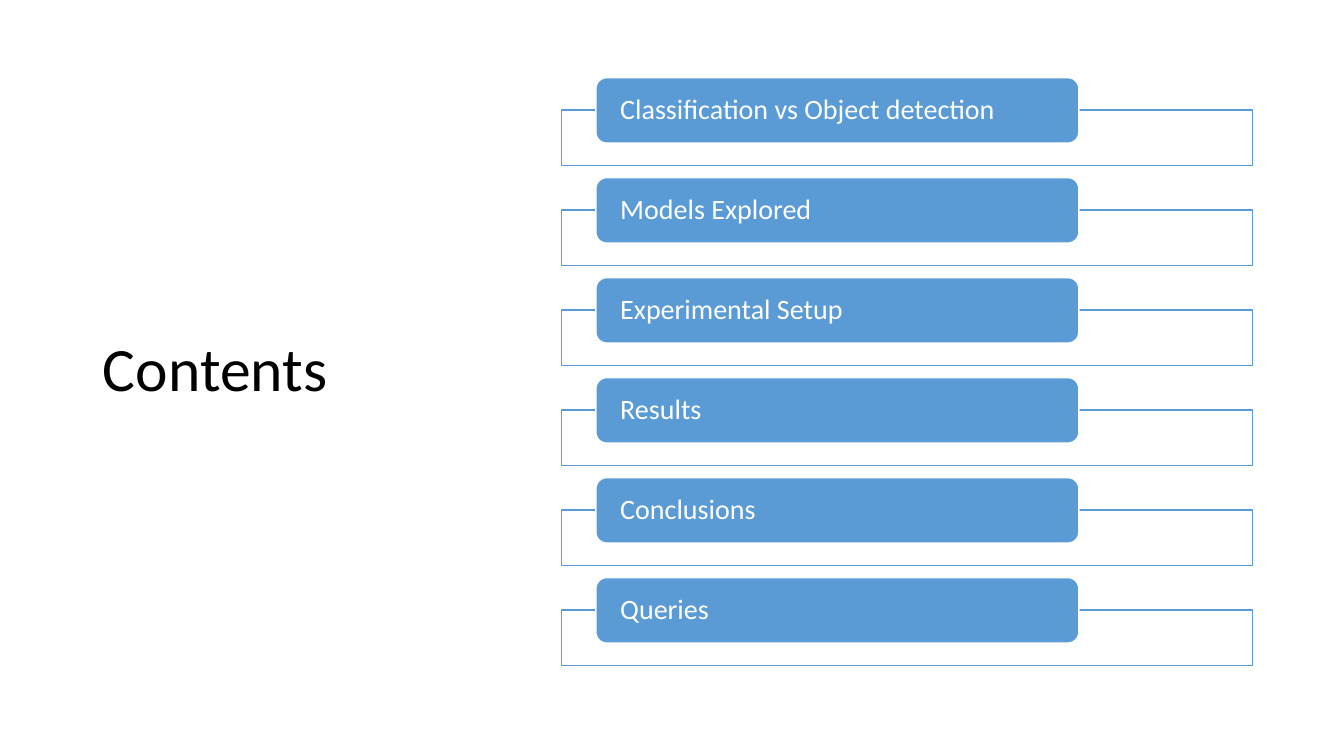
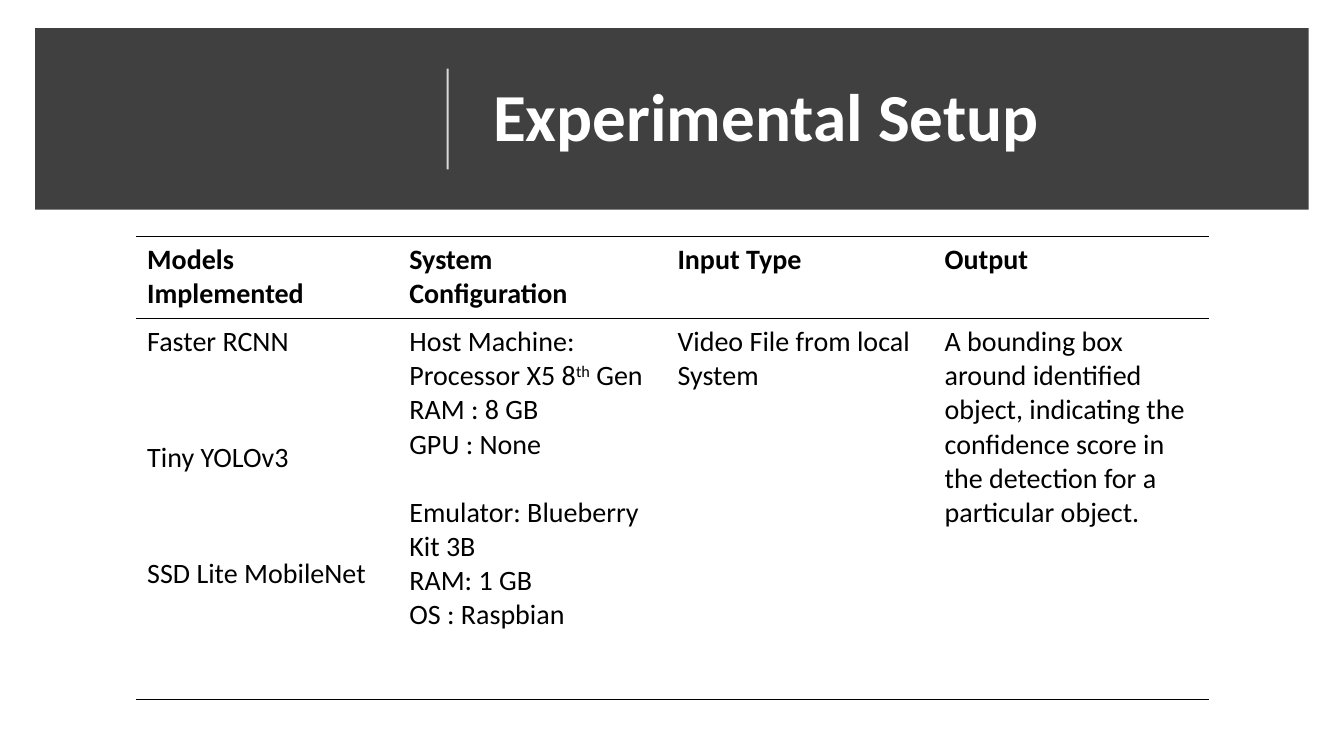
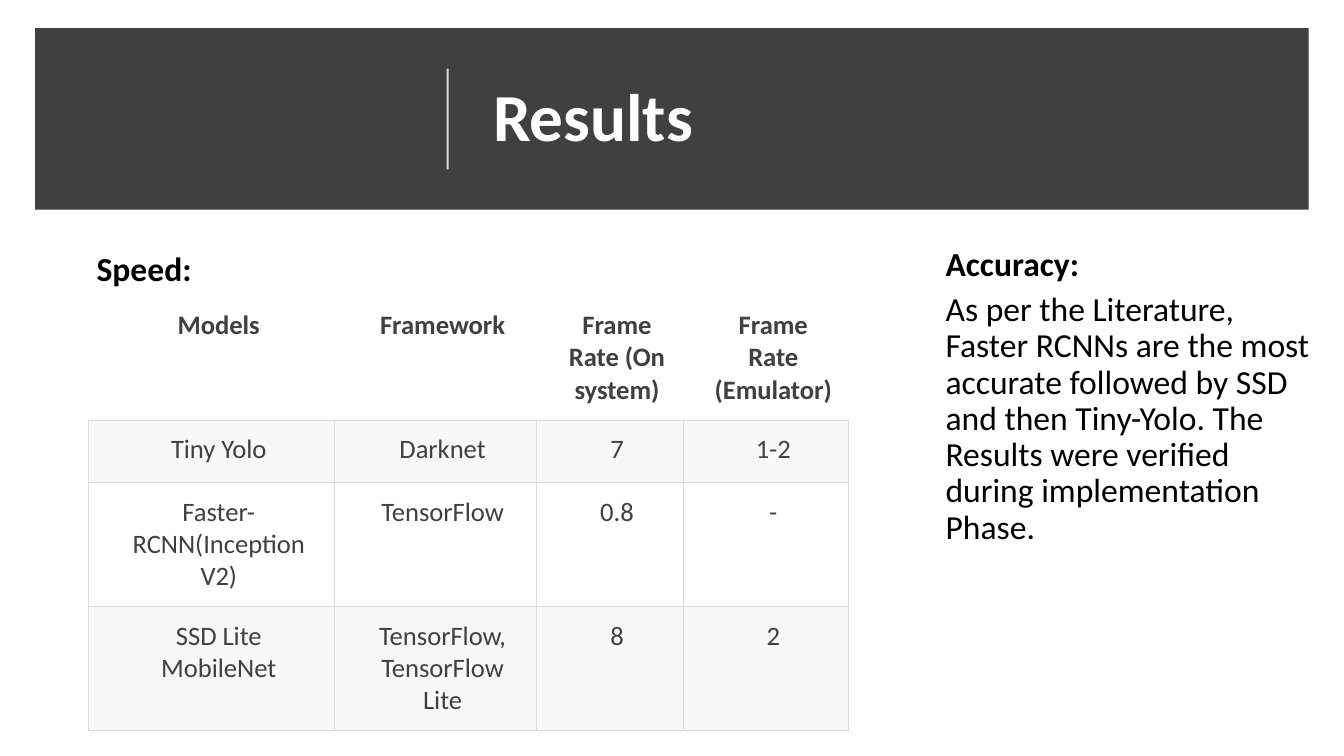
from lxml import etree
from pptx import Presentation
from pptx import util as u
from pptx.dml.color import RGBColor
from pptx.enum import shapes, text
from pptx.oxml import ns

FONT = "Calibri"
WHITE, BLACK, BLUE, CHARCOAL = "FFFFFF", "000000", "5B9BD5", "404040"
GRID, STRIPE = "D8DCDC", "D8DEDC"
PLAIN_TABLE = "{2D5ABB26-0587-4C30-8999-92F81FD0307C}"
EDGES = {"l": "a:lnL", "r": "a:lnR", "t": "a:lnT", "b": "a:lnB"}


def inches(*values):
    return [u.Inches(value) for value in values]


def paint(color_format, color, opacity=100):
    color_format.rgb = RGBColor.from_string(color)
    if opacity < 100:
        srgb = color_format._xFill.find(ns.qn("a:srgbClr"))
        etree.SubElement(srgb, ns.qn("a:alpha"), val=str(opacity * 1000))


def fill_solid(fill, color, opacity=100):
    fill.solid()
    paint(fill.fore_color, color, opacity)


def write(frame, lines, size, color, bold_lines=(), align=text.PP_ALIGN.LEFT,
          spacing=None, after=None):
    for index, line in enumerate(lines):
        paragraph = frame.paragraphs[0] if index == 0 else frame.add_paragraph()
        paragraph.alignment = align
        paragraph.line_spacing = spacing
        paragraph.space_after = after
        for part, words in enumerate(line.split("^")):
            run = paragraph.add_run()
            run.text = words
            run.font.name = FONT
            run.font.size = u.Pt(size)
            run.font.bold = index in bold_lines
            paint(run.font.color, color)
            if part % 2:
                run.font._element.set("baseline", "30000")


def set_margins(target, left, top, right, bottom):
    (target.margin_left, target.margin_top,
     target.margin_right, target.margin_bottom) = inches(left, top, right, bottom)


def add_block(slide, kind, place, color, opacity=100, outline=None):
    block = slide.shapes.add_shape(kind, *inches(*place))
    block.shadow.inherit = False
    fill_solid(block.fill, color, opacity)
    if outline:
        paint(block.line.color, outline)
        block.line.width = u.Pt(1)
    else:
        block.line.fill.background()
    return block


def add_slide(deck, heading, place, size, color, bold):
    slide = deck.slides.add_slide(deck.slide_layouts[5])
    title = slide.shapes.title
    title.left, title.top, title.width, title.height = inches(*place)
    frame = title.text_frame
    frame.auto_size = text.MSO_AUTO_SIZE.NONE
    frame.vertical_anchor = text.MSO_ANCHOR.MIDDLE
    write(frame, [heading], size, color, [0] if bold else [], spacing=0.9)
    return slide


def add_banded_slide(deck, heading):
    slide = add_slide(deck, heading, (4.79, 0.5, 7.63, 1.38), 48, WHITE, True)
    band = add_block(slide, shapes.MSO_SHAPE.RECTANGLE, (0.35, 0.28, 12.63, 1.8), CHARCOAL)
    slide.shapes.title._element.addprevious(band._element)
    divider = slide.shapes.add_connector(
        shapes.MSO_CONNECTOR.STRAIGHT, *inches(4.44, 1.68, 4.44, 0.68))
    fill_solid(divider.line.fill, WHITE, 80)
    divider.line.width = u.Pt(1.5)
    etree.SubElement(divider._element.spPr, ns.qn("a:effectLst"))
    return slide


def add_text(slide, place, lines, **style):
    frame = slide.shapes.add_textbox(*inches(*place)).text_frame
    frame.word_wrap = True
    write(frame, lines, 24, BLACK, [0], **style)


def add_grid(slide, left, top, widths, heights):
    grid = slide.shapes.add_table(
        len(heights), len(widths),
        *inches(left, top, sum(widths), sum(heights))).table
    grid.first_row = grid.horz_banding = False
    grid._tbl.tblPr.find(ns.qn("a:tableStyleId")).text = PLAIN_TABLE
    for column, width in zip(grid.columns, widths):
        column.width = u.Inches(width)
    for row, height in zip(grid.rows, heights):
        row.height = u.Inches(height)
    return grid


def set_borders(cell, edges, color, width):
    properties = cell._tc.get_or_add_tcPr()
    for position, edge in enumerate(edge for edge in EDGES if edge in edges):
        line = etree.Element(ns.qn(EDGES[edge]), w=str(u.Pt(width)))
        solid = etree.SubElement(line, ns.qn("a:solidFill"))
        etree.SubElement(solid, ns.qn("a:srgbClr"), val=color)
        properties.insert(position, line)


def build_contents(deck):
    slide = add_slide(deck, "Contents", (0.92, 0.68, 3.69, 6.02), 44, BLACK, False)
    topics = ["Classification vs Object detection", "Models Explored",
              "Experimental Setup", "Results", "Conclusions", "Queries"]
    pitch = 4.96 / (len(topics) - 1)
    for index, topic in enumerate(topics):
        top = 0.77 + index * pitch
        add_block(slide, shapes.MSO_SHAPE.RECTANGLE, (5.57, top + 0.32, 6.85, 0.55),
                  WHITE, 90, BLUE)
        label = add_block(slide, shapes.MSO_SHAPE.ROUNDED_RECTANGLE,
                          (5.91, top, 4.79, 0.65), BLUE, outline=WHITE)
        frame = label.text_frame
        frame.word_wrap = True
        frame.vertical_anchor = text.MSO_ANCHOR.MIDDLE
        set_margins(frame, 0.21, 0, 0.21, 0)
        write(frame, [topic], 20, WHITE, spacing=0.9)


def build_setup(deck):
    slide = add_banded_slide(deck, "Experimental Setup")
    grid = add_grid(slide, 1.35, 2.35, [2.6, 2.66, 2.65, 2.73], [0.81, 1.15, 1.15, 1.48])
    system = ["Host Machine:", "Processor X5 8^th^ Gen", "RAM : 8 GB", "GPU : None",
              "Emulator: Blueberry Kit 3B", "RAM: 1 GB", "OS : Raspbian"]
    output = ("A bounding box around identified object, indicating the confidence "
              "score in the detection for a particular object.")
    columns = [
        [["Models Implemented"], ["Faster RCNN"], ["Tiny YOLOv3"], ["SSD Lite MobileNet"]],
        [["System Configuration"], system],
        [["Input Type"], ["Video File from local System"]],
        [["Output"], [output]],
    ]
    for column, entries in enumerate(columns):
        if len(entries) == 2:
            grid.cell(1, column).merge(grid.cell(3, column))
        for row, lines in enumerate(entries):
            cell = grid.cell(row, column)
            set_margins(cell, 0.11, 0.06, 0.11, 0.06)
            write(cell.text_frame, lines, 20, BLACK, [0] if row == 0 else [])
        set_borders(grid.cell(0, column), "tb", BLACK, 1)
        for row in {len(entries) - 1, 3}:
            set_borders(grid.cell(row, column), "b", BLACK, 1)
    emulator = grid.cell(1, 1).text_frame.paragraphs[4]
    emulator.space_before = u.Pt(24)


def build_results(deck):
    slide = add_banded_slide(deck, "Results")
    rows = [
        ["Models", "Framework", "Frame Rate (On system)", "Frame Rate (Emulator)"],
        ["Tiny Yolo", "Darknet", "7", "1-2"],
        ["Faster-RCNN(Inception V2)", "TensorFlow", "0.8", "-"],
        ["SSD Lite MobileNet", "TensorFlow, TensorFlow Lite", "8", "2"],
    ]
    grid = add_grid(slide, 0.88, 2.94, [2.44, 2, 1.46, 1.64], [1.23, 0.62, 1.23, 1.23])
    for row, entries in enumerate(rows):
        for column, entry in enumerate(entries):
            cell = grid.cell(row, column)
            set_margins(cell, 0.27, 0.13, 0.13, 0.13)
            write(cell.text_frame, [entry], 19, CHARCOAL, [0] if row == 0 else [],
                  text.PP_ALIGN.CENTER)
            if row % 2:
                fill_solid(cell.fill, STRIPE, 20)
            set_borders(cell, "lrtb" if row else "b", GRID, 0.75)
    accuracy = ("As per the Literature, Faster RCNNs are the most accurate followed by "
                "SSD and then Tiny-Yolo. The Results were verified during "
                "implementation Phase.")
    add_text(slide, (9.28, 2.41, 3.92, 3.48), ["Accuracy:", accuracy],
             spacing=0.9, after=u.Pt(6))
    add_text(slide, (0.86, 2.41, 2.94, 0.5), ["Speed:"])


def main():
    deck = Presentation()
    deck.slide_width, deck.slide_height = inches(13.33, 7.5)
    build_contents(deck)
    build_setup(deck)
    build_results(deck)
    deck.save("out.pptx")


if __name__ == "__main__":
    main()
